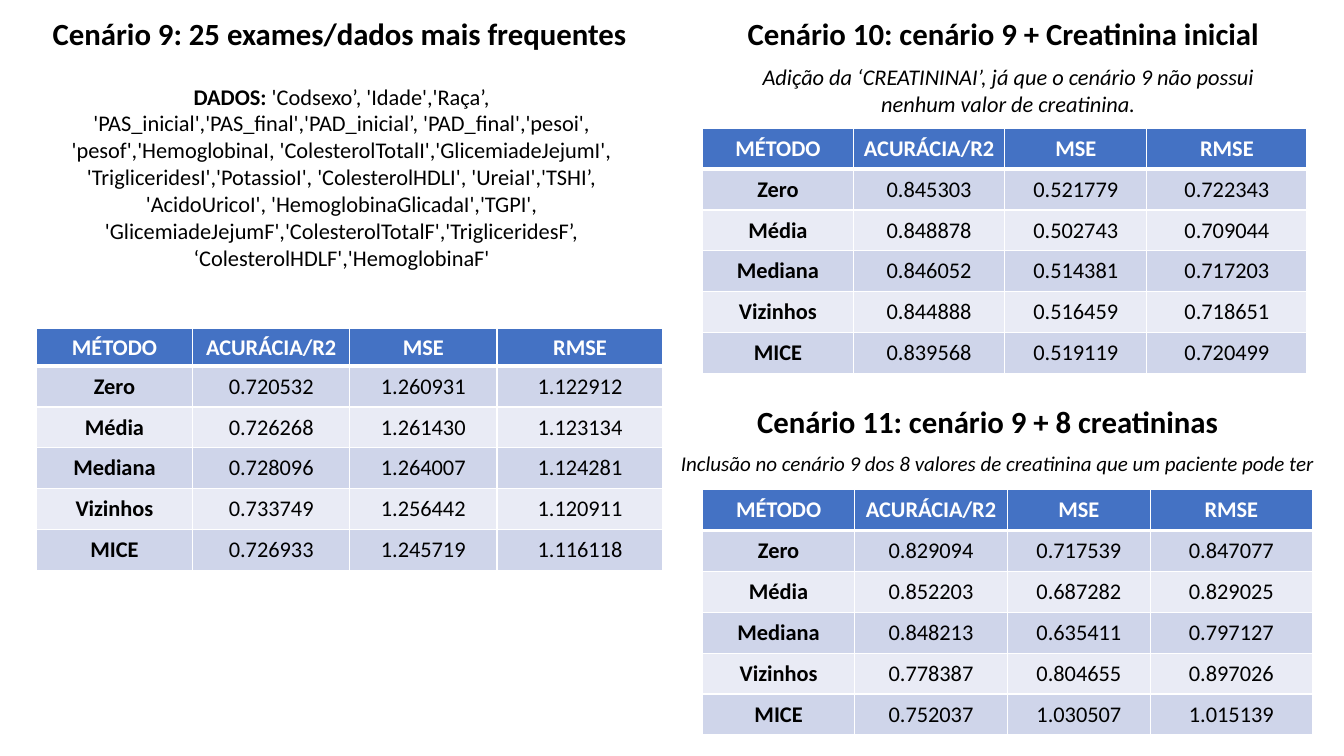
from dataclasses import dataclass

from lxml import etree
from pptx import Presentation
from pptx.dml.color import RGBColor
from pptx.enum.text import MSO_ANCHOR, MSO_AUTO_SIZE, PP_ALIGN
from pptx.oxml.ns import qn
from pptx.slide import Slide
from pptx.table import _Cell
from pptx.text.text import TextFrame, _Paragraph
from pptx.util import Cm, Pt

CENTER = PP_ALIGN.CENTER
TOP = MSO_ANCHOR.TOP
MIDDLE = MSO_ANCHOR.MIDDLE
NO_AUTOFIT = MSO_AUTO_SIZE.NONE

FONT = "Calibri"
BLACK = "000000"
WHITE = "FFFFFF"
HEADER_FILL = "4472C4"
BAND_FILLS = ("CFD5EA", "E9EBF5")
HEADERS = ("MÉTODO", "ACURÁCIA/R2", "MSE", "RMSE")
METHODS = ("Zero", "Média", "Mediana", "Vizinhos", "MICE")
COLUMN_SHARES = (0.25, 0.25, 0.235, 0.265)
ROW_HEIGHT = 1.03


@dataclass(frozen=True)
class Run:
    text: str
    size: float = 16
    bold: bool = False
    italic: bool = False
    color: str = BLACK


@dataclass(frozen=True)
class TextBlock:
    left: float
    top: float
    width: float
    height: float
    paragraphs: tuple[tuple[Run, ...], ...]
    is_title: bool = False


@dataclass(frozen=True)
class ResultTable:
    left: float
    top: float
    width: float
    header_height: float
    scores: tuple[tuple[str, str, str], ...]


def heading(text: str) -> tuple[tuple[Run, ...], ...]:
    return ((Run(text, 22, bold=True),),)


def note(text: str, size: float) -> tuple[tuple[Run, ...], ...]:
    return ((Run(text, size, italic=True),),)


TEXT_BLOCKS = (
    TextBlock(0.91, 0.25, 15.29, 1.19,
              heading("Cenário 9: 25 exames/dados mais frequentes"), is_title=True),
    TextBlock(1.37, 1.96, 14.48, 5.05, (
        (Run("DADOS:", bold=True),
         Run(" 'Codsexo’, 'Idade','Raça’, 'PAS_inicial','PAS_final',"
             "'PAD_inicial’, 'PAD_final','pesoi',")),
        (Run("'pesof','HemoglobinaI, 'ColesterolTotalI','GlicemiadeJejumI', "
             "'TrigliceridesI','PotassioI', 'ColesterolHDLI', 'UreiaI','TSHI’, "
             "'AcidoUricoI', 'HemoglobinaGlicadaI','TGPI', "
             "'GlicemiadeJejumF','ColesterolTotalF','TrigliceridesF’, "
             "‘ColesterolHDLF','HemoglobinaF'"),),
    )),
    TextBlock(16.71, 0.25, 17.15, 1.19,
              heading("Cenário 10: cenário 9 + Creatinina inicial")),
    TextBlock(18.54, 1.47, 13.74, 1.63,
              note("Adição da ‘CREATININAI’, já que o cenário 9 não possui "
                   "nenhum valor de creatinina.", 16)),
    TextBlock(16.71, 10.03, 16.36, 1.19,
              heading("Cenário 11: cenário 9 + 8 creatininas")),
    TextBlock(16.56, 11.23, 17.15, 0.89,
              note("Inclusão no cenário 9 dos 8 valores de creatinina que um "
                   "paciente pode ter", 15)),
)

RESULT_TABLES = (
    ResultTable(0.91, 8.28, 15.8, 0.93, (
        ("0.720532", "1.260931", "1.122912"),
        ("0.726268", "1.261430", "1.123134"),
        ("0.728096", "1.264007", "1.124281"),
        ("0.733749", "1.256442", "1.120911"),
        ("0.726933", "1.245719", "1.116118"),
    )),
    ResultTable(17.7, 3.23, 15.24, ROW_HEIGHT, (
        ("0.845303", "0.521779", "0.722343"),
        ("0.848878", "0.502743", "0.709044"),
        ("0.846052", "0.514381", "0.717203"),
        ("0.844888", "0.516459", "0.718651"),
        ("0.839568", "0.519119", "0.720499"),
    )),
    ResultTable(17.7, 12.34, 15.37, ROW_HEIGHT, (
        ("0.829094", "0.717539", "0.847077"),
        ("0.852203", "0.687282", "0.829025"),
        ("0.848213", "0.635411", "0.797127"),
        ("0.778387", "0.804655", "0.897026"),
        ("0.752037", "1.030507", "1.015139"),
    )),
)


def rgb(value: str) -> RGBColor:
    return RGBColor.from_string(value)


def add_runs(paragraph: _Paragraph, runs: tuple[Run, ...]) -> None:
    paragraph.alignment = CENTER
    for item in runs:
        run = paragraph.add_run()
        run.text = item.text
        run.font.name = FONT
        run.font.size = Pt(item.size)
        run.font.bold = item.bold
        run.font.italic = item.italic
        run.font.color.rgb = rgb(item.color)


def fill_frame(frame: TextFrame, block: TextBlock) -> None:
    frame.word_wrap = True
    frame.auto_size = NO_AUTOFIT
    frame.vertical_anchor = TOP
    for index, runs in enumerate(block.paragraphs):
        paragraph = frame.add_paragraph() if index else frame.paragraphs[0]
        add_runs(paragraph, runs)


def draw_text(slide: Slide, block: TextBlock) -> None:
    box = (Cm(block.left), Cm(block.top), Cm(block.width), Cm(block.height))
    if block.is_title:
        shape = slide.shapes.title
        shape.left, shape.top, shape.width, shape.height = box
    else:
        shape = slide.shapes.add_textbox(*box)
    fill_frame(shape.text_frame, block)


def set_borders(cell: _Cell, bottom_width: float) -> None:
    properties = cell._tc.get_or_add_tcPr()
    for side, width in (("L", 1), ("R", 1), ("T", 1), ("B", bottom_width)):
        line = etree.SubElement(properties, qn(f"a:ln{side}"), w=str(Pt(width)))
        fill = etree.SubElement(line, qn("a:solidFill"))
        etree.SubElement(fill, qn("a:srgbClr"), val=WHITE)


def format_cell(cell: _Cell, run: Run, fill: str, bottom_width: float) -> None:
    set_borders(cell, bottom_width)
    cell.fill.solid()
    cell.fill.fore_color.rgb = rgb(fill)
    cell.vertical_anchor = MIDDLE
    cell.margin_left = cell.margin_right = Cm(0.1)
    add_runs(cell.text_frame.paragraphs[0], (run,))


def draw_table(slide: Slide, result: ResultTable) -> None:
    rows = [HEADERS] + [(method, *scores) for method, scores in zip(METHODS, result.scores)]
    height = result.header_height + ROW_HEIGHT * len(METHODS)
    table = slide.shapes.add_table(
        len(rows), len(HEADERS), Cm(result.left), Cm(result.top),
        Cm(result.width), Cm(height)).table
    for column, share in zip(table.columns, COLUMN_SHARES):
        column.width = Cm(result.width * share)
    for row_index, texts in enumerate(rows):
        is_header = row_index == 0
        table.rows[row_index].height = Cm(result.header_height if is_header else ROW_HEIGHT)
        fill = HEADER_FILL if is_header else BAND_FILLS[(row_index - 1) % 2]
        for column_index, text in enumerate(texts):
            run = Run(text, bold=is_header or column_index == 0,
                      color=WHITE if is_header else BLACK)
            format_cell(table.cell(row_index, column_index), run, fill, 3 if is_header else 1)


def main() -> None:
    presentation = Presentation()
    presentation.slide_width = Cm(33.87)
    presentation.slide_height = Cm(19.05)
    slide = presentation.slides.add_slide(presentation.slide_layouts[5])
    for block in TEXT_BLOCKS:
        draw_text(slide, block)
    for result in RESULT_TABLES:
        draw_table(slide, result)
    presentation.save("out.pptx")


if __name__ == "__main__":
    main()
